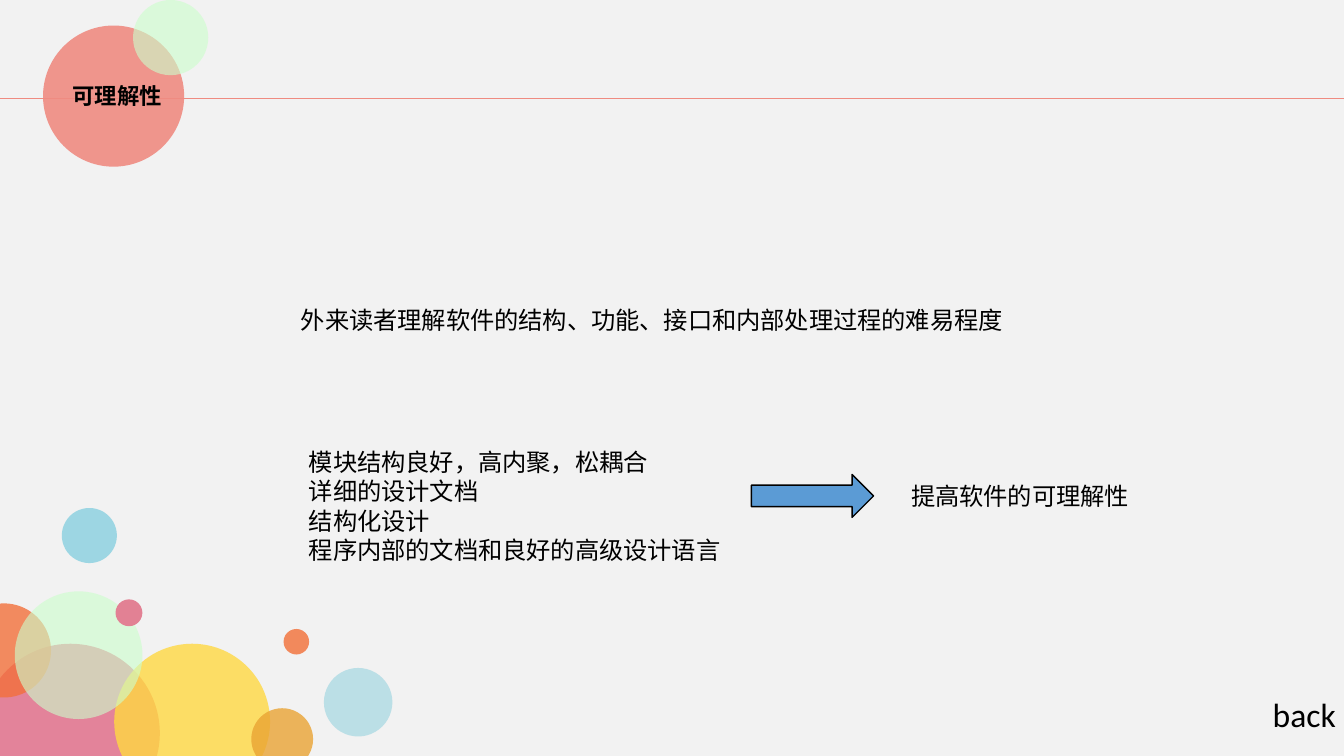
"""Build the slide on software understandability."""
from lxml.etree import SubElement
from pptx import Presentation
from pptx.dml.color import RGBColor
from pptx.enum.shapes import MSO_CONNECTOR, MSO_SHAPE
from pptx.enum.text import MSO_ANCHOR, MSO_AUTO_SIZE, PP_ALIGN
from pptx.oxml.ns import qn
from pptx.util import Inches, Pt


def paint(fill, color):
    fill.solid()
    fill.fore_color.rgb = RGBColor.from_string(color)


def write(sp, text, size, font="Calibri", bold=False, align=PP_ALIGN.LEFT, anchor=MSO_ANCHOR.TOP):
    tf = sp.text_frame
    tf.text = text
    tf.word_wrap = True
    tf.auto_size = MSO_AUTO_SIZE.NONE
    tf.vertical_anchor = anchor
    for p in tf.paragraphs:
        p.alignment = align
        for r in p.runs:
            r.font.size = Pt(size)
            r.font.name = font
            r.font.bold = bold
            paint(r.font.fill, "000000")


prs = Presentation()
prs.slide_width = Inches(10)
prs.slide_height = prs.slide_width * 9 // 16
s = prs.slides.add_slide(prs.slide_layouts[5])
paint(s.background.fill, "F2F2F2")

bubbles = [
    (2.41, 4.97, 0.51, "86CDDB", 50),
    (2.11, 4.68, 0.19, "F2895C", 100),
    (-0.14, 4.79, 1.33, "DB3D63", 61),
    (0.85, 4.79, 1.16, "FFD842", 80),
    (-0.32, 4.49, 0.7, "F3703B", 80),
    (0.11, 4.4, 0.95, "CCFFCC", 61),
    (0.86, 4.46, 0.2, "E28194", 100),
    (1.87, 5.27, 0.46, "EAA434", 80),
    (0.46, 3.78, 0.41, "88D0E0", 80),
    (0.32, 0.19, 1.05, "EF8B81", 90),
    (0.99, 0, 0.56, "CCFFCC", 61),
]
line = s.shapes.add_connector(MSO_CONNECTOR.STRAIGHT, 0, Inches(0.73), prs.slide_width, Inches(0.73))
paint(line.line.fill, "EF8B81")
line.line.width = Pt(0.5)
SubElement(line.element.spPr, qn("a:effectLst"))

for x, y, d, color, alpha in bubbles:
    sp = s.shapes.add_shape(MSO_SHAPE.OVAL, Inches(x), Inches(y), Inches(d), Inches(d))
    sp.shadow.inherit = False
    paint(sp.fill, color)
    sp.line.fill.background()
    if alpha < 100:
        clr = sp.element.spPr.find(qn("a:solidFill"))[0]
        SubElement(clr, qn("a:alpha")).set("val", str(alpha * 1000))

back = s.shapes.add_shape(MSO_SHAPE.ROUNDED_RECTANGLE, Inches(8.52), Inches(5), Inches(2.37), Inches(0.62))
back.adjustments[0] = 0.5
back.shadow.inherit = False
paint(back.fill, "F2F2F2")
back.line.fill.background()
write(back, "back", 18, align=PP_ALIGN.CENTER, anchor=MSO_ANCHOR.MIDDLE)

title = s.shapes.title
title.left, title.top, title.width, title.height = map(Inches, (0.44, 0.56, 2.02, 0.3))
write(title, "可理解性", 12, "Noto Sans CJK SC", True)
back.element.addnext(title.element)

arrow = s.shapes.add_shape(MSO_SHAPE.RIGHT_ARROW, Inches(5.59), Inches(3.53), Inches(0.91), Inches(0.32))
arrow.shadow.inherit = False
paint(arrow.fill, "5B9BD5")
paint(arrow.line.fill, "000000")
arrow.line.width = Pt(0.75)

measures = ["模块结构良好，高内聚，松耦合", "详细的设计文档", "结构化设计", "程序内部的文档和良好的高级设计语言"]
texts = [
    (2.14, 2.22, 9.11, 1.41, "外来读者理解软件的结构、功能、接口和内部处理过程的难易程度"),
    (2.2, 3.28, 3.32, 1.41, "\n".join(measures)),
    (6.68, 3.53, 3.32, 0.54, "提高软件的可理解性"),
]
for x, y, w, h, text in texts:
    sp = s.shapes.add_textbox(Inches(x), Inches(y), Inches(w), Inches(h))
    write(sp, text, 13)

prs.save("out.pptx")
